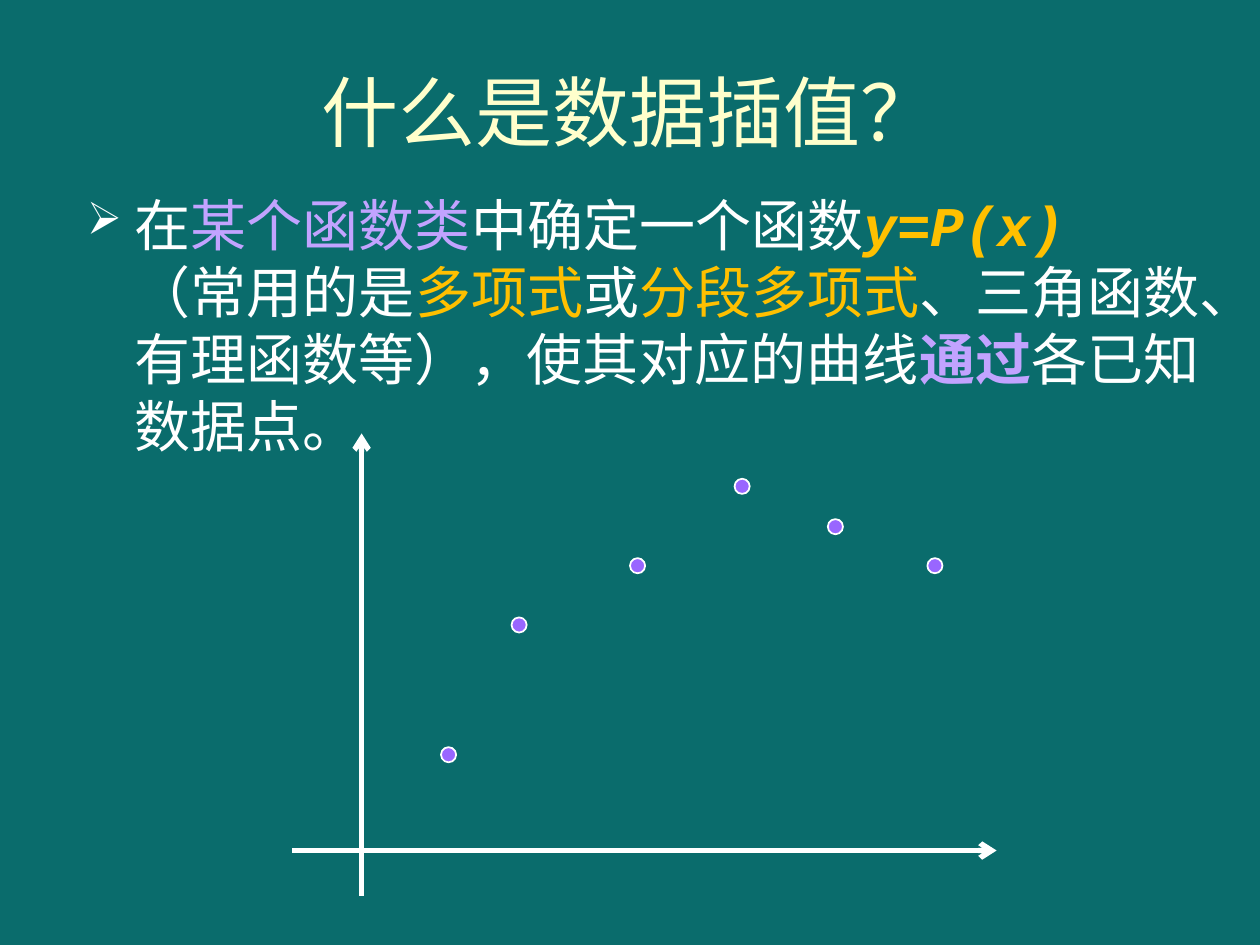
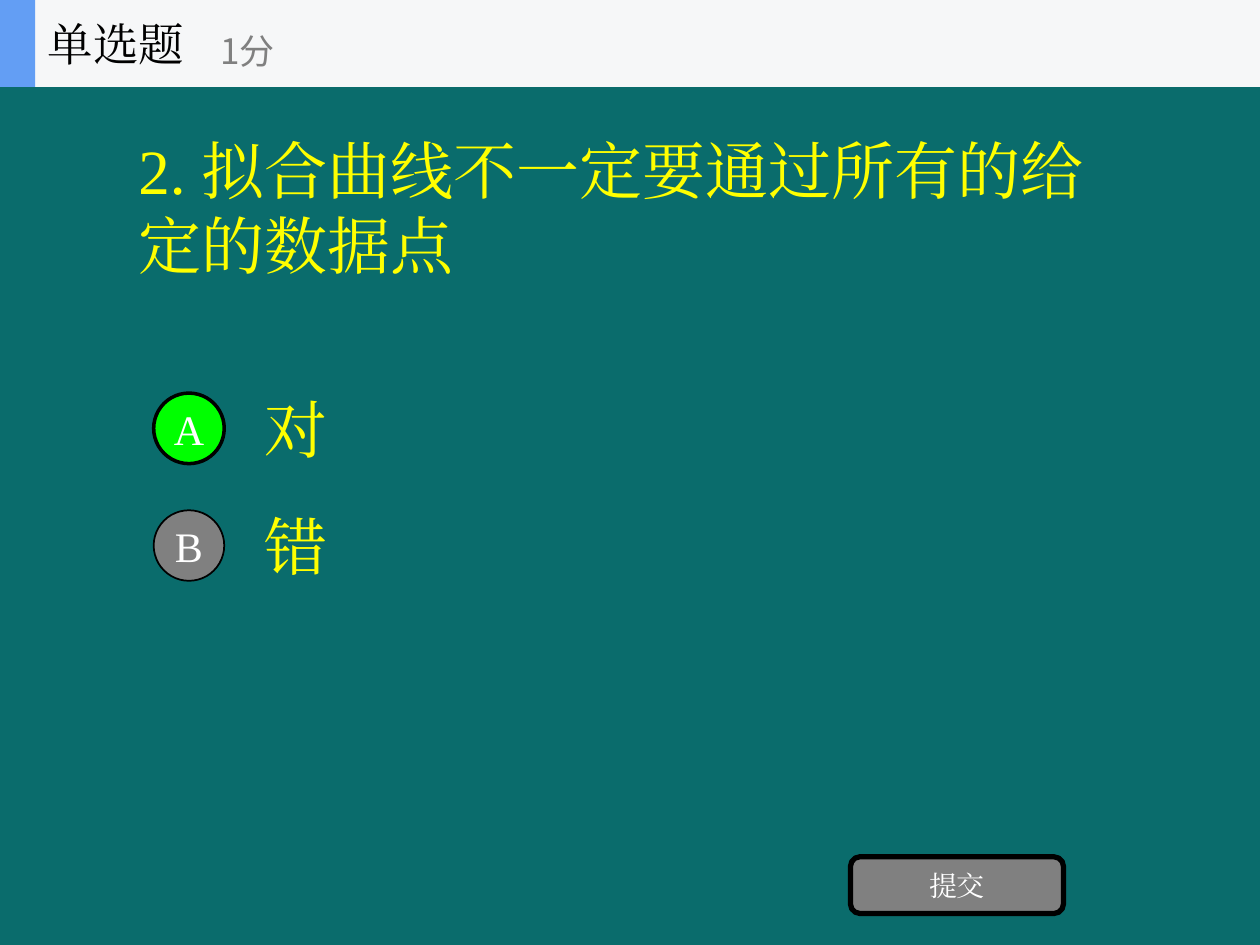
import pptx
import pptx.util
import pptx.dml.color
import pptx.enum.shapes
import pptx.enum.text
import pptx.oxml
import pptx.oxml.ns
from pptx.util import Inches

COLORS = {
    "background": "0A6C6C", "title": "FFFFCC", "white": "FFFFFF", "black": "000000",
    "lilac": "C2A3FF", "gold": "FFC000", "violet": "9966FF", "yellow": "FFFF00",
    "green": "00FF00", "gray": "808080", "header": "F6F7F8", "accent": "639EF4",
}
SANS, SERIF, MONO = "Noto Sans CJK SC", "Times New Roman", "Courier New"
SHAPES = pptx.enum.shapes.MSO_SHAPE
ALIGN = pptx.enum.text.PP_ALIGN
ANCHOR = pptx.enum.text.MSO_ANCHOR
INSET = (0.1, 0.05, 0.1, 0.05)


def color(name):
    """Return the named colour."""
    return pptx.dml.color.RGBColor.from_string(COLORS[name])


def add_element(parent, tag, **attributes):
    """Append a drawing element with attributes and return it."""
    element = pptx.oxml.parse_xml(f"<a:{tag} {pptx.oxml.ns.nsdecls('a')}/>")
    for name, value in attributes.items():
        element.set(name, value)
    parent.append(element)
    return element


def format_run(run, size, fill, font=SANS, bold=False, italic=False):
    """Style a run, with one typeface for Latin and East Asian text."""
    run.font.size = pptx.util.Pt(size)
    run.font.name = font
    run.font.bold = bold
    run.font.italic = italic
    run.font.color.rgb = color(fill)
    add_element(run.font._element, "ea", typeface=font)


def prepare_frame(shape, anchor=ANCHOR.MIDDLE, inset=INSET):
    """Set wrapping, anchor and insets, and return the text frame."""
    frame = shape.text_frame
    frame.word_wrap = True
    frame.vertical_anchor = anchor
    frame.margin_left, frame.margin_top, frame.margin_right, frame.margin_bottom = map(Inches, inset)
    return frame


def write_line(shape, text, size, fill, font=SERIF, align=ALIGN.LEFT, inset=INSET):
    """Write one styled paragraph into a shape."""
    frame = prepare_frame(shape, inset=inset)
    frame.text = text
    paragraph = frame.paragraphs[0]
    paragraph.alignment = align
    format_run(paragraph.runs[0], size, fill, font)


def add_text(slide, box, *style, **options):
    """Add a text box holding one paragraph."""
    write_line(slide.shapes.add_textbox(*map(Inches, box)), *style, **options)


def add_filled(slide, kind, box, fill, line=None, width=1):
    """Add a flat preset shape."""
    shape = slide.shapes.add_shape(kind, *map(Inches, box))
    shape.shadow.inherit = False
    shape.fill.solid()
    shape.fill.fore_color.rgb = color(fill)
    if line:
        shape.line.color.rgb = color(line)
        shape.line.width = pptx.util.Pt(width)
    else:
        shape.line.fill.background()
    return shape


def add_axis(slide, start, end):
    """Add a white axis with an arrowhead at its end."""
    axis = slide.shapes.add_connector(
        pptx.enum.shapes.MSO_CONNECTOR.STRAIGHT, *map(Inches, start + end))
    axis.line.color.rgb = color("white")
    axis.line.width = pptx.util.Pt(3)
    add_element(axis.line._get_or_add_ln(), "tailEnd", type="arrow")
    add_element(axis._element.spPr, "effectLst")


def add_slide(presentation):
    """Add a blank slide with the shared background."""
    slide = presentation.slides.add_slide(presentation.slide_layouts[6])
    slide.background.fill.solid()
    slide.background.fill.fore_color.rgb = color("background")
    return slide


def add_definition(slide, box):
    """Add the bulleted definition with its highlighted terms."""
    shape = slide.shapes.add_textbox(*map(Inches, box))
    frame = prepare_frame(shape, ANCHOR.TOP, (0.1, 0.11, 0.1, 0.05))
    paragraph = frame.paragraphs[0]
    paragraph.line_spacing = pptx.util.Pt(38.4)
    properties = paragraph._element.get_or_add_pPr()
    properties.set("marL", str(Inches(0.38)))
    properties.set("indent", str(Inches(-0.38)))
    properties.set("hangingPunct", "1")
    bullet_color = add_element(properties, "buClr")
    add_element(bullet_color, "srgbClr", val=COLORS["white"])
    add_element(properties, "buSzPct", val="80000")
    add_element(properties, "buChar", char="➢")
    first_line = [
        ("在", "white", {}), ("某个函数类", "lilac", {}), ("中确定一个函数", "white", {}),
        ("y=P(x)", "gold", {"font": MONO, "bold": True, "italic": True}),
    ]
    other_lines = [
        ("（常用的是", "white", {}), ("多项式", "gold", {}), ("或", "white", {}),
        ("分段多项式", "gold", {}), ("、三角函数、有理函数等），使其对应的曲线", "white", {}),
        ("通过", "lilac", {"bold": True}), ("各已知数据点。", "white", {}),
    ]
    for pieces in (first_line, other_lines):
        if pieces is other_lines:
            paragraph.add_line_break()
        for text, fill, options in pieces:
            run = paragraph.add_run()
            run.text = text
            format_run(run, 32, fill, **options)


def add_data_plot(slide, box):
    """Draw the axes and the known data points inside a box."""
    left, top, width, height = box
    horizontal_y, vertical_x = top + 3.31, left + 0.55
    add_axis(slide, (left, horizontal_y), (left + width, horizontal_y))
    points = [(1.18, 2.49), (1.74, 1.46), (2.68, 0.99), (3.51, 0.36), (4.25, 0.68), (5.04, 0.99)]
    for x, y in points:
        add_filled(slide, SHAPES.OVAL, (left + x, top + y, 0.12, 0.12), "violet", "white")
    add_axis(slide, (vertical_x, top + height), (vertical_x, top))


def build_interpolation_slide(presentation):
    """Build the slide that defines data interpolation."""
    slide = add_slide(presentation)
    add_text(slide, (0.33, 0.25, 9.34, 1.25), "什么是数据插值？", 44, "title",
             font=SANS, align=ALIGN.CENTER)
    add_definition(slide, (0.59, 1.4, 9.05, 2.28))
    add_data_plot(slide, (2.32, 3.44, 5.59, 3.67))


def add_quiz_header(slide, box):
    """Add the header band with question type and score."""
    left, top, width, height = box
    add_filled(slide, SHAPES.RECTANGLE, box, "header")
    add_filled(slide, SHAPES.RECTANGLE, (left, top, 0.28, height), "accent")
    add_text(slide, (left + 0.28, top, 1.39, height), "单选题", 26, "black")
    add_text(slide, (left + 1.65, top + 0.12, 2.5, 0.56), "1分", 20, "gray", font=SANS)


def add_button(slide, kind, box, text, size, fill, line_width):
    """Add an outlined shape with a centred white label."""
    button = add_filled(slide, kind, box, fill, "black", line_width)
    write_line(button, text, size, "white", align=ALIGN.CENTER, inset=(0, 0, 0, 0))


def add_choices(slide, box, choices):
    """Stack lettered answers at an equal pitch."""
    left, top, width, height = box
    pitch = height / len(choices)
    for index, (letter, answer, fill, line_width) in enumerate(choices):
        y = top + index * pitch
        add_text(slide, (left + 0.78, y, width - 0.78, 0.7), answer, 36, "yellow")
        add_button(slide, SHAPES.OVAL, (left, y + 0.07, 0.56, 0.56), letter, 24, fill, line_width)


def build_quiz_slide(presentation):
    """Build the single-choice question slide."""
    slide = add_slide(presentation)
    add_text(slide, (1, 0.47, 8, 2.34), "2. 拟合曲线不一定要通过所有的给定的数据点", 36, "yellow")
    add_choices(slide, (1.22, 3.05, 7.78, 1.86),
                [("A", "对", "green", 2), ("B", "错", "gray", 1)])
    add_button(slide, SHAPES.ROUNDED_RECTANGLE, (6.75, 6.8, 1.69, 0.45), "提交", 16, "gray", 3)
    add_quiz_header(slide, (0, 0, 10, 0.69))


def main():
    """Build and save the presentation."""
    presentation = pptx.Presentation()
    presentation.slide_width = Inches(10)
    presentation.slide_height = Inches(7.5)
    build_interpolation_slide(presentation)
    build_quiz_slide(presentation)
    presentation.save("out.pptx")


if __name__ == "__main__":
    main()
